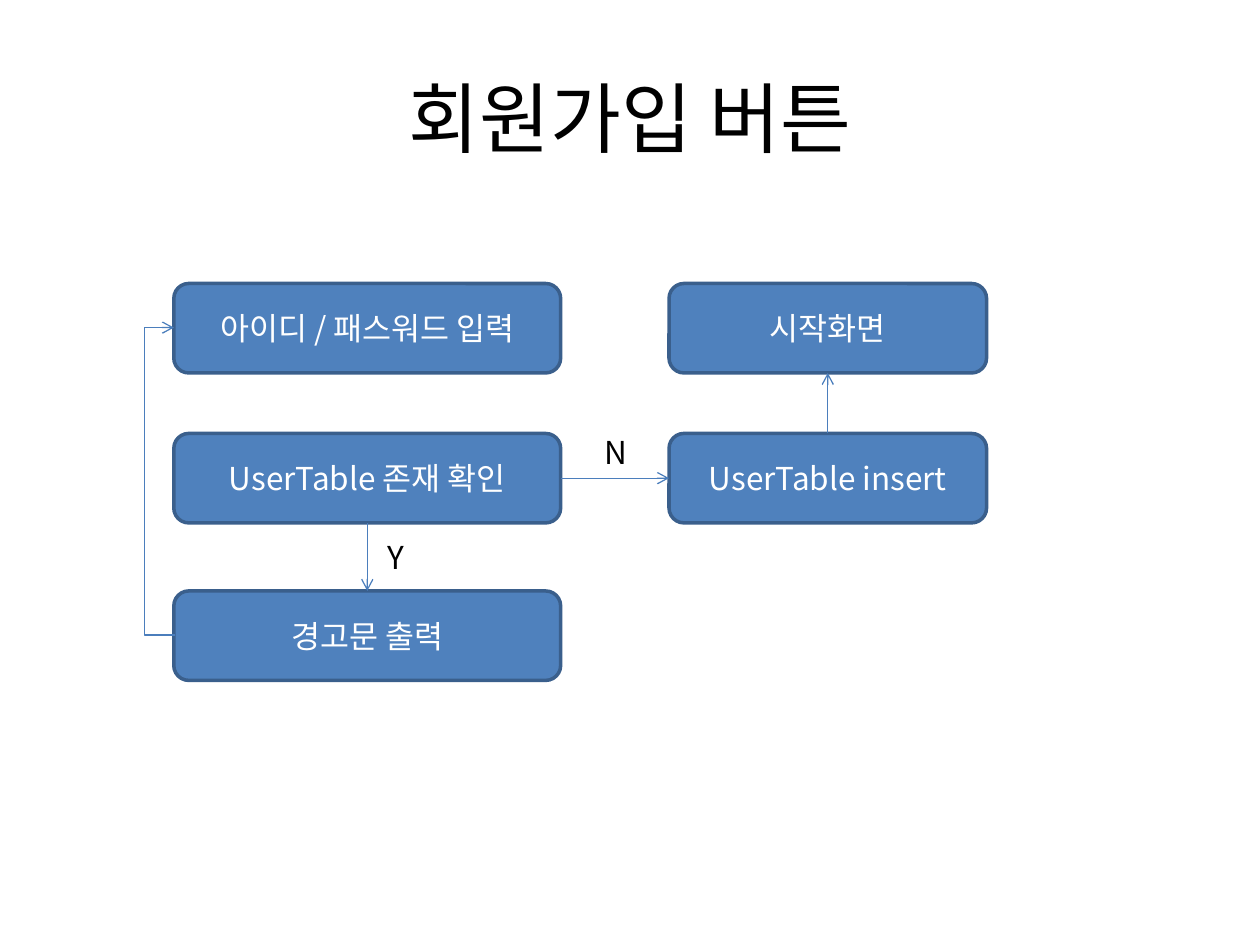
import dataclasses

import lxml.etree
import pptx
import pptx.dml.color
import pptx.enum.shapes
import pptx.enum.text
import pptx.oxml.ns
import pptx.util

PX = 9144  # EMU per px, 100 px to the inch
TOP, LEFT, BOTTOM, RIGHT = range(4)  # connection sites of a box


@dataclasses.dataclass(frozen=True)
class Theme:
    font: str = "Noto Sans CJK KR"
    title_size: int = 44
    body_size: int = 18
    border_width: float = 2
    arrow_width: float = 0.75
    dark: str = "000000"
    light: str = "FFFFFF"
    box_fill: str = "4F81BD"
    box_border: str = "3A5F8C"
    arrow: str = "4B7EBC"


THEME = Theme()


def rgb(value):
    return pptx.dml.color.RGBColor.from_string(value)


def emu(*lengths):
    return [pptx.util.Emu(length * PX) for length in lengths]


def child(parent, tag, **attributes):
    return lxml.etree.SubElement(parent, pptx.oxml.ns.qn(tag), **attributes)


def write(shape, text, size, color, anchor):
    """Put one centred run into a shape."""
    frame = shape.text_frame
    frame.word_wrap = True
    frame.vertical_anchor = anchor
    paragraph = frame.paragraphs[0]
    paragraph.alignment = pptx.enum.text.PP_ALIGN.CENTER
    run = paragraph.add_run()
    run.text = text
    run.font.size = pptx.util.Pt(size)
    run.font.color.rgb = rgb(color)
    run.font.name = THEME.font
    child(run.font._element, "a:ea", typeface=THEME.font)


def add_title(slide, box, text):
    title = slide.shapes.title
    title.left, title.top, title.width, title.height = emu(*box)
    write(title, text, THEME.title_size, THEME.dark, pptx.enum.text.MSO_ANCHOR.MIDDLE)


def add_step(slide, box, text):
    step = slide.shapes.add_shape(
        pptx.enum.shapes.MSO_SHAPE.ROUNDED_RECTANGLE, *emu(*box))
    step.shadow.inherit = False
    step.fill.solid()
    step.fill.fore_color.rgb = rgb(THEME.box_fill)
    step.line.color.rgb = rgb(THEME.box_border)
    step.line.width = pptx.util.Pt(THEME.border_width)
    write(step, text, THEME.body_size, THEME.light, pptx.enum.text.MSO_ANCHOR.MIDDLE)
    return step


def add_label(slide, box, text):
    label = slide.shapes.add_textbox(*emu(*box))
    write(label, text, THEME.body_size, THEME.dark, pptx.enum.text.MSO_ANCHOR.TOP)


def style_arrow(connector):
    connector.line.color.rgb = rgb(THEME.arrow)
    connector.line.width = pptx.util.Pt(THEME.arrow_width)
    child(connector.line._get_or_add_ln(), "a:tailEnd", type="arrow")
    child(connector._element.spPr, "a:effectLst")


def add_arrow(slide, start, start_site, end, end_site):
    """Straight arrow glued to two boxes."""
    connector = slide.shapes.add_connector(
        pptx.enum.shapes.MSO_CONNECTOR.STRAIGHT, 0, 0, 0, 0)
    connector.begin_connect(start, start_site)
    connector.end_connect(end, end_site)
    style_arrow(connector)


def add_return_arrow(slide, x, start_y, end_y, reach):
    """Elbow arrow that leaves to the left and comes back higher up."""
    connector = slide.shapes.add_connector(
        pptx.enum.shapes.MSO_CONNECTOR.ELBOW, *emu(x, end_y, x + 1, start_y))
    # A half turn makes it start at the bottom; the bend is in 1/100000 of its 1 px width
    connector._element.spPr.xfrm.set("rot", "10800000")
    adjustments = connector._element.spPr.prstGeom.get_or_add_avLst()
    child(adjustments, "a:gd", name="adj1", fmla=f"val {reach * 100000}")
    style_arrow(connector)


def add_flow(slide, box):
    left, top, width, height = box
    step_height, left_width, right_width = 71, 307, 252
    right = left + width - right_width
    check_top = top + 119
    warning_top = top + height - step_height

    # Steps
    add_step(slide, (left, top, left_width, step_height), "아이디 / 패스워드 입력")
    check = add_step(slide, (left, check_top, left_width, step_height),
                     "UserTable 존재 확인")
    warning = add_step(slide, (left, warning_top, left_width, step_height),
                       "경고문 출력")
    insert = add_step(slide, (right, check_top, right_width, step_height),
                      "UserTable insert")
    start_screen = add_step(slide, (right, top, right_width, step_height), "시작화면")

    # Arrows
    add_arrow(slide, check, BOTTOM, warning, TOP)
    add_arrow(slide, check, RIGHT, insert, LEFT)
    add_arrow(slide, insert, TOP, start_screen, BOTTOM)
    middle = step_height // 2
    add_return_arrow(slide, left, warning_top + middle, top + middle, 25)

    # Branch labels
    add_label(slide, (left + 149, check_top + 78, 55, 40), "Y")
    add_label(slide, (left + 323, check_top - 5, 55, 40), "N")


def main():
    presentation = pptx.Presentation()
    presentation.slide_width, presentation.slide_height = emu(1000, 750)
    slide = presentation.slides.add_slide(presentation.slide_layouts[5])
    add_title(slide, (50, 30, 900, 125), "회원가입 버튼")
    add_flow(slide, (138, 225, 645, 315))
    presentation.save("out.pptx")


if __name__ == "__main__":
    main()
